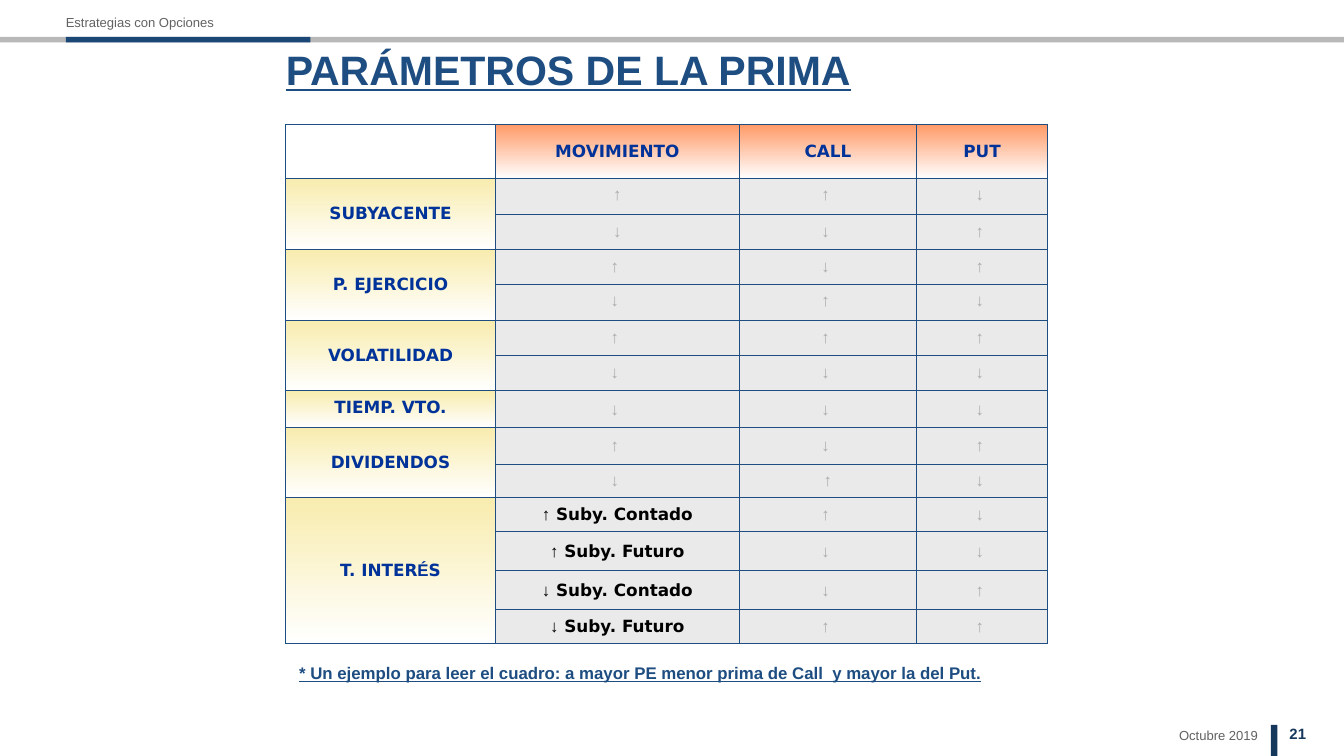
from lxml import etree
from pptx import Presentation
from pptx.dml.color import RGBColor
from pptx.enum.shapes import MSO_SHAPE
from pptx.enum.text import MSO_ANCHOR, MSO_AUTO_SIZE, PP_ALIGN
from pptx.oxml.ns import qn
from pptx.util import Inches, Pt

RECTANGLE = MSO_SHAPE.RECTANGLE
TOP, MIDDLE = MSO_ANCHOR.TOP, MSO_ANCHOR.MIDDLE
LEFT, CENTER, RIGHT = PP_ALIGN.LEFT, PP_ALIGN.CENTER, PP_ALIGN.RIGHT
NO_AUTOFIT = MSO_AUTO_SIZE.NONE

SLIDE_W = Inches(10)
SLIDE_H = SLIDE_W * 9 // 16
BODY_FONT, TABLE_FONT = "Arial", "DejaVu Sans"
BLUE, NAVY, GREY_TEXT = "1D4D81", "15375C", "626263"
HEADING, ARROW, BLACK = "003399", "ADADAD", "000000"
ORANGE, YELLOW, CELL_GREY = "FF9966", "F8ECAE", "EAEAEA"

TITLE = "PARÁMETROS DE LA PRIMA"
TITLE_BOX = (21.27, 5.87, 61.5, 6.58)

BARS = [
    ((0, 4.88, 100, 0.72), "B8B8B8"),
    ((4.9, 4.88, 18.2, 0.72), "1B4777"),
    ((94.55, 95.9, 0.5, 4.1), NAVY),
]

LABELS = [
    ("Estrategias con Opciones", (4.9, 1.87, 31.4, 2.13), 7, GREY_TEXT, False, LEFT),
    ("21", (95.95, 95.83, 4, 2.31), 8, NAVY, True, LEFT),
    ("Octubre 2019", (82.3, 96.18, 11.3, 2.13), 7, GREY_TEXT, False, RIGHT),
]

NOTE = "* Un ejemplo para leer el cuadro: a mayor PE menor prima de Call  y mayor la del Put."
NOTE_BOX = (21.27, 86.75, 60.8, 4.44)

HEADERS = ["MOVIMIENTO", "CALL", "PUT"]
PARAMETERS = [
    ("SUBYACENTE", [("↑", "↑ ", "↓ "), ("↓", "↓ ", "↑ ")]),
    ("P. EJERCICIO", [("↑ ", "↓ ", "↑ "), ("↓ ", "↑ ", "↓ ")]),
    ("VOLATILIDAD", [("↑ ", "↑ ", "↑ "), ("↓ ", "↓ ", "↓ ")]),
    ("TIEMP. VTO.", [("↓ ", "↓ ", "↓ ")]),
    ("DIVIDENDOS", [("↑ ", "↓ ", "↑ "), ("↓ ", "↑", "↓ ")]),
    ("T. INTERÉS", [
        ("↑ Suby. Contado", "↑ ", "↓ "),
        ("↑ Suby. Futuro", "↓ ", "↓ "),
        ("↓ Suby. Contado", "↓ ", "↑ "),
        ("↓ Suby. Futuro", "↑ ", "↑ "),
    ]),
]
TABLE_LEFT, TABLE_TOP = 21.25, 16.42
COLUMN_SHARES = [15.6, 18.15, 13.2, 9.75]
ROW_SHARES = [5.15] + [4.68] * 6 + [4.92, 4.84, 4.42, 4.5, 5.16, 5.16, 4.5]
TOP_ALIGNED_ROWS = {1, 4}
TOP_ALIGNED_LABEL = "TIEMP. VTO."


def color(value):
    return RGBColor.from_string(value)


def across(share):
    return int(SLIDE_W * share / 100)


def down(share):
    return int(SLIDE_H * share / 100)


def place(box):
    x, y, w, h = box
    return across(x), down(y), across(w), down(h)


def style(run, size, shade, bold=False, underline=False, face=BODY_FONT):
    font = run.font
    font.name, font.size, font.bold = face, Pt(size), bold
    font.color.rgb = color(shade)
    if underline:
        font.underline = True


def fill_frame(frame, text, size, shade, bold, align=LEFT, underline=False, inset=(0, 0)):
    frame.word_wrap = True
    frame.auto_size = NO_AUTOFIT
    frame.vertical_anchor = TOP
    frame.margin_left = frame.margin_right = Inches(inset[0])
    frame.margin_top = frame.margin_bottom = Inches(inset[1])
    frame.text = text
    paragraph = frame.paragraphs[0]
    paragraph.alignment = align
    style(paragraph.runs[0], size, shade, bold, underline)


def gradient(cell, start):
    cell.fill.gradient()
    cell.fill.gradient_angle = 270
    for stop, shade, position in zip(cell.fill.gradient_stops, (start, "FFFFFF"), (0, 1)):
        stop.color.rgb = color(shade)
        stop.position = position


def outline(cell):
    properties = cell._tc.get_or_add_tcPr()
    for index, side in enumerate(("a:lnL", "a:lnR", "a:lnT", "a:lnB")):
        line = etree.Element(qn(side), w=str(Pt(0.45)))
        solid = etree.SubElement(line, qn("a:solidFill"))
        etree.SubElement(solid, qn("a:srgbClr"), val=BLUE)
        properties.insert(index, line)


def write_cell(cell, pieces, anchor=MIDDLE):
    cell.vertical_anchor = anchor
    cell.margin_left = cell.margin_right = Inches(0.07)
    paragraph = cell.text_frame.paragraphs[0]
    paragraph.alignment = CENTER
    for text, shade, face in pieces:
        run = paragraph.add_run()
        run.text = text
        style(run, 9, shade, True, face=face)


def label_pieces(label):
    before, accent, after = label.partition("É")
    parts = [(before, TABLE_FONT), (accent, BODY_FONT), (after, TABLE_FONT)]
    return [(text, HEADING, face) for text, face in parts if text]


def effect_pieces(effect):
    if effect.strip() in "↑↓":
        return [(effect, ARROW, BODY_FONT)]
    return [(effect[0], BLACK, BODY_FONT), (effect[1:], BLACK, TABLE_FONT)]


def add_parameter_table(slide):
    box = (TABLE_LEFT, TABLE_TOP, sum(COLUMN_SHARES), sum(ROW_SHARES))
    table = slide.shapes.add_table(len(ROW_SHARES), len(COLUMN_SHARES), *place(box)).table
    table.first_row = table.horz_banding = False
    for column, share in zip(table.columns, COLUMN_SHARES):
        column.width = across(share)
    for row, share in zip(table.rows, ROW_SHARES):
        row.height = down(share)
    for cell in table.iter_cells():
        cell.fill.background()
        outline(cell)
    for column, header in enumerate(HEADERS, 1):
        cell = table.cell(0, column)
        gradient(cell, ORANGE)
        write_cell(cell, label_pieces(header))
    row = 1
    for label, movements in PARAMETERS:
        head = table.cell(row, 0)
        if len(movements) > 1:
            head.merge(table.cell(row + len(movements) - 1, 0))
        gradient(head, YELLOW)
        write_cell(head, label_pieces(label), TOP if label == TOP_ALIGNED_LABEL else MIDDLE)
        for effects in movements:
            anchor = TOP if row in TOP_ALIGNED_ROWS else MIDDLE
            for column, effect in enumerate(effects, 1):
                cell = table.cell(row, column)
                cell.fill.solid()
                cell.fill.fore_color.rgb = color(CELL_GREY)
                write_cell(cell, effect_pieces(effect), anchor)
            row += 1


def main():
    deck = Presentation()
    deck.slide_width, deck.slide_height = SLIDE_W, SLIDE_H
    slide = deck.slides.add_slide(deck.slide_layouts[5])

    for box, shade in BARS:
        bar = slide.shapes.add_shape(RECTANGLE, *place(box))
        bar.shadow.inherit = False
        bar.fill.solid()
        bar.fill.fore_color.rgb = color(shade)
        bar.line.fill.background()
    for text, box, size, shade, bold, align in LABELS:
        label = slide.shapes.add_textbox(*place(box))
        fill_frame(label.text_frame, text, size, shade, bold, align)

    add_parameter_table(slide)

    title = slide.shapes.title
    title.left, title.top, title.width, title.height = place(TITLE_BOX)
    fill_frame(title.text_frame, TITLE, 22, BLUE, True, underline=True)
    note = slide.shapes.add_textbox(*place(NOTE_BOX))
    fill_frame(note.text_frame, NOTE, 9, BLUE, True, underline=True, inset=(0.1, 0.05))

    deck.save("out.pptx")


if __name__ == "__main__":
    main()
